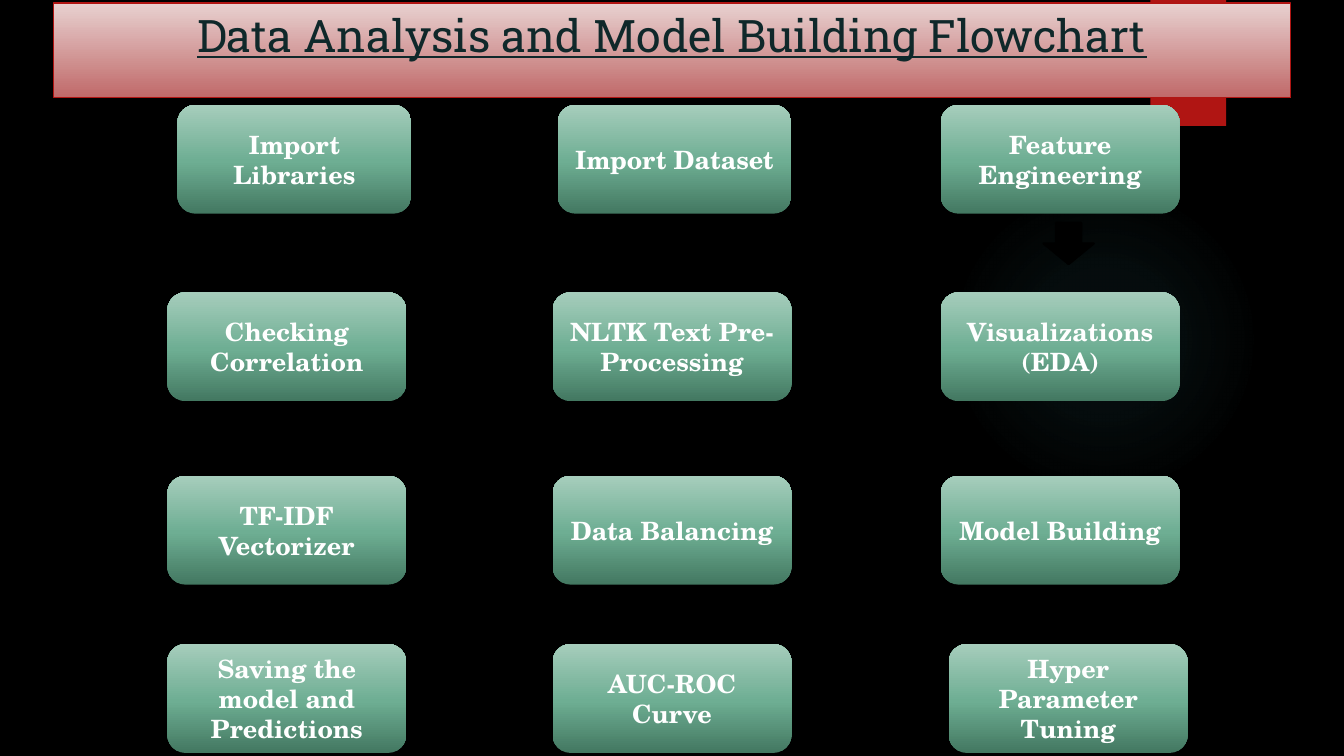
from dataclasses import dataclass

from lxml.etree import SubElement
from pptx import Presentation
from pptx.dml.color import RGBColor
from pptx.enum.shapes import MSO_SHAPE as Shape
from pptx.enum.text import MSO_ANCHOR as Anchor, PP_ALIGN as Align
from pptx.oxml.ns import qn
from pptx.util import Inches, Pt


@dataclass(frozen=True)
class Theme:
    back: str = "000000"
    accent: str = "B01513"
    title_ink: str = "0F282A"
    step_ink: str = "FFFFFF"
    arrow: str = "000000"
    # Gradient stops: position %, colour, opacity %
    banner: tuple = ((0, "E8D1D0", 100), (100, "C06969", 100))
    step: tuple = ((0, "437861", 100), (48, "6EAE93", 100), (100, "A6CDBC", 100))
    glow: tuple = ((0, "50B9C1", 7), (36, "50B9C1", 6), (69, "50B9C1", 0))
    title_font: str = "Roboto Slab"
    step_font: str = "TeX Gyre Schola"
    title_size: int = 32
    step_size: int = 18


@dataclass(frozen=True)
class Box:
    x: float
    y: float
    w: float
    h: float

    def inner(self, x, y, w, h):
        """Return an inner box given in percent of this one."""
        return Box(self.x + self.w * x / 100, self.y + self.h * y / 100,
                   self.w * w / 100, self.h * h / 100)

    def place(self):
        return [Inches(v) for v in (self.x, self.y, self.w, self.h)]


T = Theme()
SLIDE = Box(0, 0, 13.33, 7.5)

# Flow grid, in percent of the flow region
COLUMNS = (0, 38.05, 76.39)
STEP_W, STEP_H = 23.61, 16.8
ARROW_H = 6.38
RIGHT, LEFT = Shape.RIGHT_ARROW, Shape.LEFT_ARROW

# Row top, step texts, arrow kind, arrow drop, (left, width) of first arrow
ROWS = (
    (0, ("Import Libraries", "Import Dataset", "Feature Engineering"),
     RIGHT, 3.89, (27.89, 6.87)),
    (28.93, ("Checking Correlation", "NLTK Text Pre-Processing", "Visualizations\n(EDA)"),
     LEFT, 4.04, (27.39, 6.87)),
    (57.23, ("TF-IDF Vectorizer", "Data Balancing", "Model Building"),
     RIGHT, 2.18, (27.19, 7.27)),
    (83.2, ("Saving the model and Predictions", "AUC-ROC Curve", "Hyper Parameter Tuning"),
     LEFT, 5.29, (26.59, 6.87)),
)
SECOND_ARROW = (65.44, 7.27)
# Steps off the grid: (row, column) -> shift, width
OFF_GRID = {(0, 0): (1, 23.11), (0, 1): (0.5, 23.11), (3, 2): (0.8, STEP_W)}
DOWN_ARROWS = ((86.55, 18.2, 4.98, ARROW_H), (9.26, 46.97, 4.98, ARROW_H),
               (85.76, 75.27, 4.98, 5.44))


def rgb(color):
    return RGBColor.from_string(color)


def set_gradient(sp, stops, angle=None):
    """Fill with a linear gradient, or a radial one when no angle is given."""
    sp.fill.gradient()
    grad = sp._element.spPr.find(qn("a:gradFill"))
    for child in list(grad):
        grad.remove(child)
    stop_list = SubElement(grad, qn("a:gsLst"))
    for pos, color, opacity in stops:
        stop = SubElement(stop_list, qn("a:gs"), pos=str(pos * 1000))
        clr = SubElement(stop, qn("a:srgbClr"), val=color)
        if opacity < 100:
            SubElement(clr, qn("a:alpha"), val=str(opacity * 1000))
    if angle is None:
        radial = SubElement(grad, qn("a:path"), {"path": "circle"})
        SubElement(radial, qn("a:fillToRect"), l="50000", t="50000", r="50000", b="50000")
    else:
        SubElement(grad, qn("a:lin"), ang=str(angle * 60000), scaled="0")


def add_shape(s, kind, box, fill, angle=None, line=None, width=1.5):
    sp = s.shapes.add_shape(kind, *box.place())
    sp.shadow.inherit = False
    if isinstance(fill, str):
        sp.fill.solid()
        sp.fill.fore_color.rgb = rgb(fill)
    else:
        set_gradient(sp, fill, angle)
    if line:
        sp.line.color.rgb = rgb(line)
        sp.line.width = Pt(width)
    else:
        sp.line.fill.background()
    return sp


def set_text(sp, text, *, font, size, color, anchor, bold=False, underline=False):
    tf = sp.text_frame
    tf.word_wrap = True
    tf.vertical_anchor = anchor
    tf.text = text
    for p in tf.paragraphs:
        p.alignment = Align.CENTER
        for r in p.runs:
            r.font.name, r.font.size = font, Pt(size)
            r.font.bold, r.font.underline = bold, underline
            r.font.color.rgb = rgb(color)


def draw_backdrop(s, box):
    s.background.fill.solid()
    s.background.fill.fore_color.rgb = rgb(T.back)
    add_shape(s, Shape.OVAL, box.inner(70.59, 24.4, 23.11, 41.07), T.glow)
    add_shape(s, Shape.RECTANGLE, box.inner(85.6, 0, 5.63, 16.67), T.accent)


def draw_title(s, box):
    title = s.shapes.title
    title.left, title.top, title.width, title.height = box.place()
    set_gradient(title, T.banner, 90)
    title.line.color.rgb = rgb(T.accent)
    title.line.width = Pt(0.75)
    set_text(title, "Data Analysis and Model Building Flowchart", font=T.title_font,
             size=T.title_size, color=T.title_ink, anchor=Anchor.TOP, underline=True)
    # Bring the banner in front of the backdrop
    s.shapes._spTree.append(title._element)


def draw_arrow(s, kind, box):
    add_shape(s, kind, box, T.arrow, line=T.arrow)


def draw_flow(s, box):
    for row, (top, texts, arrow, drop, first_arrow) in enumerate(ROWS):
        # Steps
        for col, text in enumerate(texts):
            shift, width = OFF_GRID.get((row, col), (0, STEP_W))
            sp = add_shape(s, Shape.FLOWCHART_ALTERNATE_PROCESS,
                           box.inner(COLUMNS[col] + shift, top, width, STEP_H), T.step, 270)
            set_text(sp, text, font=T.step_font, size=T.step_size,
                     color=T.step_ink, anchor=Anchor.MIDDLE, bold=True)
        # Arrows along the row
        for left, width in (first_arrow, SECOND_ARROW):
            draw_arrow(s, arrow, box.inner(left, top + drop, width, ARROW_H))
    # Arrows between rows
    for place in DOWN_ARROWS:
        draw_arrow(s, Shape.DOWN_ARROW, box.inner(*place))


def main():
    prs = Presentation()
    prs.slide_width, prs.slide_height = Inches(SLIDE.w), Inches(SLIDE.h)
    s = prs.slides.add_slide(prs.slide_layouts[5])
    draw_backdrop(s, SLIDE)
    draw_title(s, SLIDE.inner(3.98, 0.4, 92.05, 12.53))
    draw_flow(s, SLIDE.inner(12.45, 13.87, 75.32, 85.73))
    prs.save("out.pptx")


if __name__ == "__main__":
    main()
